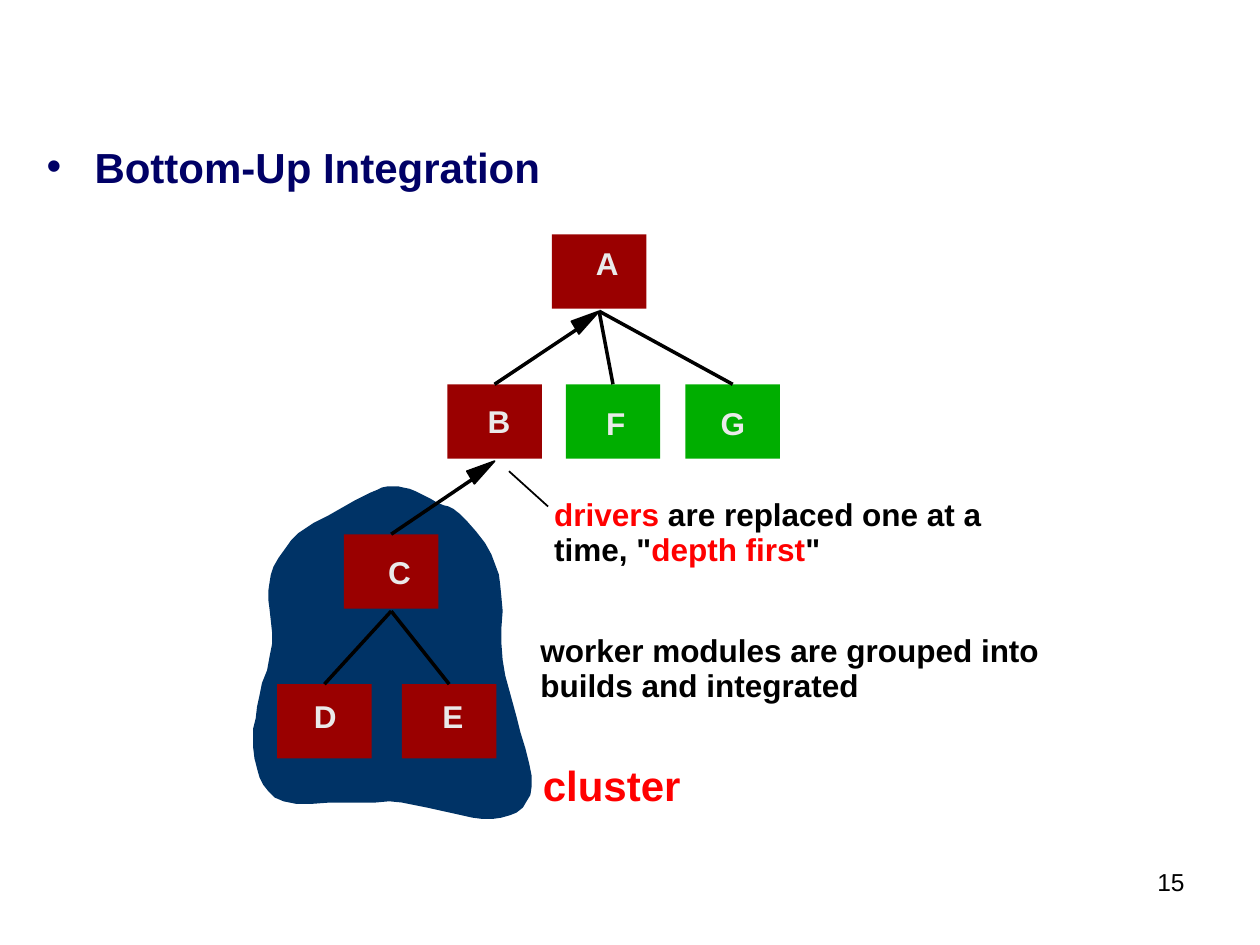
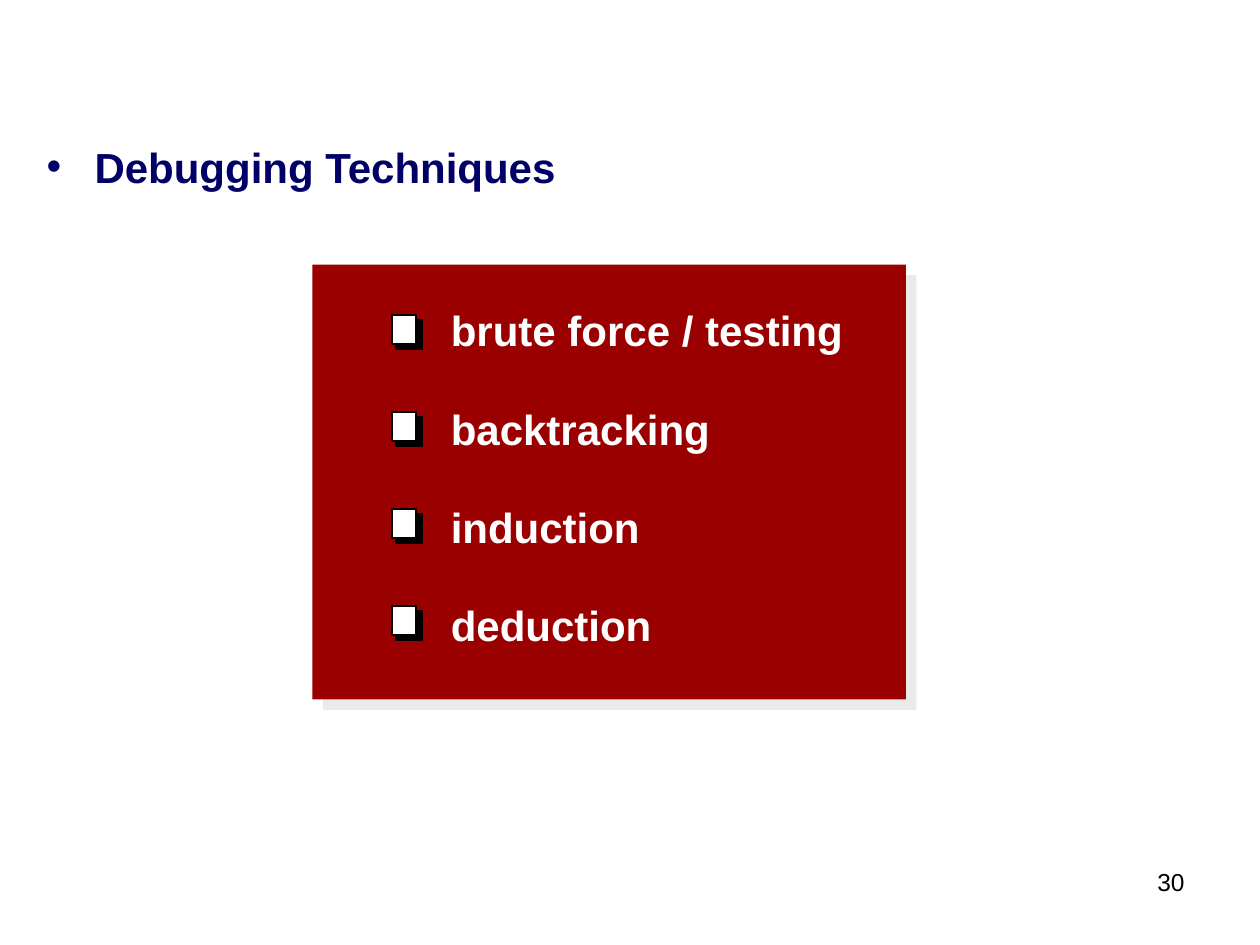
import collections

import pptx
import pptx.util
import pptx.dml.color
import pptx.enum.shapes
import pptx.enum.text
import pptx.oxml
import pptx.oxml.ns

Inches, Pt = pptx.util.Inches, pptx.util.Pt
RGB = pptx.dml.color.RGBColor
ALIGN = pptx.enum.text.PP_ALIGN
TOP = pptx.enum.text.MSO_ANCHOR.TOP
SPACE = pptx.oxml.ns.nsdecls("a")

NAVY = RGB(0x00, 0x00, 0x66)
BLUE = RGB(0x00, 0x33, 0x66)
MAROON = RGB(0x9A, 0x00, 0x00)
GREEN = RGB(0x00, 0xAE, 0x00)
RED = RGB(0xFF, 0x00, 0x00)
PALE = RGB(0xEA, 0xEA, 0xEA)
WHITE = RGB(0xFF, 0xFF, 0xFF)
BLACK = RGB(0x00, 0x00, 0x00)

FONT = "Arial"
HEADING, LABEL, FOOTER = 24, 18, 14  # text sizes in points
PAD_X, PAD_Y = 0.1, 0.05             # inner margins of a text box

# The module tree, in inches from its top left corner
MODULE_W, MODULE_H = 0.75, 0.59
ROW = 1.19
GAP = 0.02  # between a parent's foot and the line that meets it
Module = collections.namedtuple("Module", "left row fill label_x label_y")
MODULES = {
    "A": Module(2.38, 0, MAROON, 0.25, 0.03),
    "B": Module(1.55, 1, MAROON, 0.22, 0.09),
    "C": Module(0.73, 2, MAROON, 0.25, 0.10),
    "D": Module(0.20, 3, MAROON, 0.19, 0.05),
    "E": Module(1.19, 3, MAROON, 0.22, 0.05),
    "F": Module(2.49, 1, GREEN, 0.22, 0.11),
    "G": Module(3.44, 1, GREEN, 0.18, 0.11),
}
PARENTS = {"B": "A", "C": "B", "D": "C", "E": "C", "F": "A", "G": "A"}
REPLACED = "BC"  # modules whose line to the parent is an arrow

# Outlines, in hundredths of an inch
HEAD = [(0, 0), (-16, 18), (-22, 8)]
BLOB = [
    (165, 22), (147, 13), (125, 2), (108, 0), (88, 8), (61, 23),      # top
    (37, 37), (17, 64), (13, 90), (16, 125), (6, 166), (1, 200),      # left
    (6, 231), (25, 250), (75, 251), (119, 251), (157, 259), (191, 264),
    (215, 255), (222, 230), (210, 183), (199, 138), (198, 88), (190, 54),
]

# The panel of techniques
PITCH = 0.77
CHECK_X, CHECK_Y = 0.63, 0.4


def style(item, size, color, bold=True):
    """Set the font of a paragraph or run."""
    font = item.font
    font.name, font.size, font.bold = FONT, Pt(size), bold
    font.color.rgb = color


def paint(shape, fill, line=None):
    shape.shadow.inherit = False
    shape.fill.solid()
    shape.fill.fore_color.rgb = fill
    if line is None:
        shape.line.fill.background()
    else:
        shape.line.color.rgb = line
        shape.line.width = Pt(1)
    return shape


def rect(slide, x, y, w, h, fill, line=None):
    shape = slide.shapes.add_shape(
        pptx.enum.shapes.MSO_SHAPE.RECTANGLE,
        Inches(x), Inches(y), Inches(w), Inches(h))
    return paint(shape, fill, line)


def smooth(points, steps=4):
    """Round a closed outline with a Catmull-Rom curve through its points."""
    curve = []
    count = len(points)
    for i in range(count):
        near = [points[(i + k) % count] for k in (-1, 0, 1, 2)]
        for step in range(steps):
            t = step / steps
            curve.append(tuple(
                b + t / 2 * (c - a + t * (2 * a - 5 * b + 4 * c - d
                                          + t * (3 * (b - c) + d - a)))
                for a, b, c, d in zip(*near)))
    return curve


def outline(slide, x, y, points, fill, line=None):
    """Draw a closed outline whose points are hundredths of an inch."""
    form = slide.shapes.build_freeform(*points[0], scale=Inches(0.01))
    form.add_line_segments(points[1:], close=True)
    return paint(form.convert_to_shape(Inches(x), Inches(y)), fill, line)


def link(slide, start, end, width=2):
    line = slide.shapes.add_connector(
        pptx.enum.shapes.MSO_CONNECTOR.STRAIGHT,
        *(Inches(value) for value in (*start, *end)))
    line.line.color.rgb = BLACK
    line.line.width = Pt(width)
    line._element.spPr.append(
        pptx.oxml.parse_xml(f"<a:effectLst {SPACE}/>"))


def arrow(slide, start, tip):
    """Draw a line that ends inside a long head at its tip."""
    x, y = tip
    link(slide, start, (x - 0.17, y + 0.14))
    outline(slide, x, y, HEAD, BLACK, BLACK)


def text(slide, x, y, w, h, parts, size, bold=True):
    """Add a one-paragraph box from (words, colour) parts."""
    box = slide.shapes.add_textbox(Inches(x), Inches(y), Inches(w), Inches(h))
    box.text_frame.word_wrap = True
    para = box.text_frame.paragraphs[0]
    for words, color in parts:
        run = para.add_run()
        run.text = words
        style(run, size, color, bold)
    return para


def bullet(para, color, indent):
    """Give a paragraph a round bullet and a hanging indent."""
    props = para._p.get_or_add_pPr()
    props.set("marL", str(Inches(indent)))
    props.set("indent", str(Inches(-indent)))
    for part in (f'<a:buClr {SPACE}><a:srgbClr val="{color}"/></a:buClr>',
                 f'<a:buFont {SPACE} typeface="{FONT}"/>',
                 f'<a:buChar {SPACE} char="•"/>'):
        props.append(pptx.oxml.parse_xml(part))


def page(deck, title, height, number):
    """Add a slide with its bulleted title and page number."""
    slide = deck.slides.add_slide(deck.slide_layouts[5])
    head = slide.shapes.title
    head.left, head.top = Inches(0.27), Inches(1.07)
    head.width, head.height = Inches(9), Inches(height)
    frame = head.text_frame
    frame.text = title
    frame.vertical_anchor = TOP
    frame.auto_size = pptx.enum.text.MSO_AUTO_SIZE.NONE
    para = frame.paragraphs[0]
    para.alignment = ALIGN.LEFT
    para.space_before = Pt(0)
    bullet(para, NAVY, 0.38)
    style(para, HEADING, NAVY)
    para = text(slide, 7.44, 6.83, 2.06, 0.52, [(number, BLACK)],
                FOOTER, False)
    para.alignment = ALIGN.RIGHT
    return slide


def block(slide, x, y, name, module):
    """Draw one module of the tree that starts at x, y."""
    box = rect(slide, x + module.left, y + module.row * ROW,
               MODULE_W, MODULE_H, module.fill)
    frame = box.text_frame
    frame.text = name
    frame.vertical_anchor = TOP
    frame.margin_left = Inches(module.label_x + PAD_X)
    frame.margin_top = Inches(module.label_y + PAD_Y)
    frame.margin_right = frame.margin_bottom = 0
    para = frame.paragraphs[0]
    para.alignment = ALIGN.LEFT
    style(para, LABEL, PALE)


def tree(slide, x, y):
    """Draw the cluster, its modules and a line from each to its parent."""
    outline(slide, x, y + 2, smooth(BLOB), BLUE)
    for name, module in MODULES.items():
        block(slide, x, y, name, module)
    for name, parent in PARENTS.items():
        child, above = MODULES[name], MODULES[parent]
        start = (x + child.left + MODULE_W / 2, y + child.row * ROW)
        foot = (x + above.left + MODULE_W / 2,
                y + above.row * ROW + MODULE_H + GAP)
        draw = arrow if name in REPLACED else link
        draw(slide, start, foot)


def notes(slide, x, y):
    """Label the parts of the tree that starts at x, y."""
    drivers = [("drivers ", RED), ("are replaced one at a time, \"", BLACK),
               ("depth first", RED), ("\"", BLACK)]
    workers = [("worker modules are grouped into builds and integrated",
                BLACK)]
    for left, top, width, parts in ((2.3, 2.04, 3.75, drivers),
                                    (2.19, 3.12, 4.35, workers)):
        para = text(slide, x + left, y + top, width, 0.68, parts, LABEL)
        para.line_spacing = Pt(20)
    text(slide, x + 2.21, y + 4.12, 1.5, 0.5, [("cluster", RED)], HEADING)
    link(slide, (x + 2.04, y + 1.88), (x + 2.35, y + 2.16), 1)


def check(slide, x, y):
    """Draw a white check box over its black shade."""
    rect(slide, x + 0.03, y + 0.04, 0.21, 0.23, BLACK, BLACK)
    rect(slide, x, y, 0.19, 0.23, WHITE, BLACK)


def panel(slide, x, y, items):
    """Draw a shaded panel with a check box before each item."""
    card = rect(slide, x, y, 4.71, 3.45, MAROON)
    effects = card._element.spPr.find(pptx.oxml.ns.qn("a:effectLst"))
    effects.append(pptx.oxml.parse_xml(
        f'<a:outerShdw {SPACE} dist="{Pt(8.5)}" dir="2700000" '
        f'algn="ctr" rotWithShape="0">'
        f'<a:srgbClr val="{PALE}"/></a:outerShdw>'))
    box = slide.shapes.add_textbox(
        Inches(x + 1), Inches(y + 0.27), Inches(3.5), Inches(2.84))
    frame = box.text_frame
    frame.word_wrap = True
    frame.text = "\n".join(items)
    for i, para in enumerate(frame.paragraphs):
        if i:
            para.space_before = Pt(27.4)
        style(para, HEADING, WHITE)
        check(slide, x + CHECK_X, y + CHECK_Y + i * PITCH)


def main():
    deck = pptx.Presentation()
    deck.slide_width, deck.slide_height = Inches(10), Inches(7.5)

    slide = page(deck, "Bottom-Up Integration", 0.79, "15")
    corner = (2, 1.86)
    tree(slide, *corner)
    notes(slide, *corner)

    slide = page(deck, "Debugging Techniques", 0.95, "30")
    panel(slide, 2.48, 2.1, [
        "brute force / testing", "backtracking", "induction", "deduction"])

    deck.save("out.pptx")


if __name__ == "__main__":
    main()
